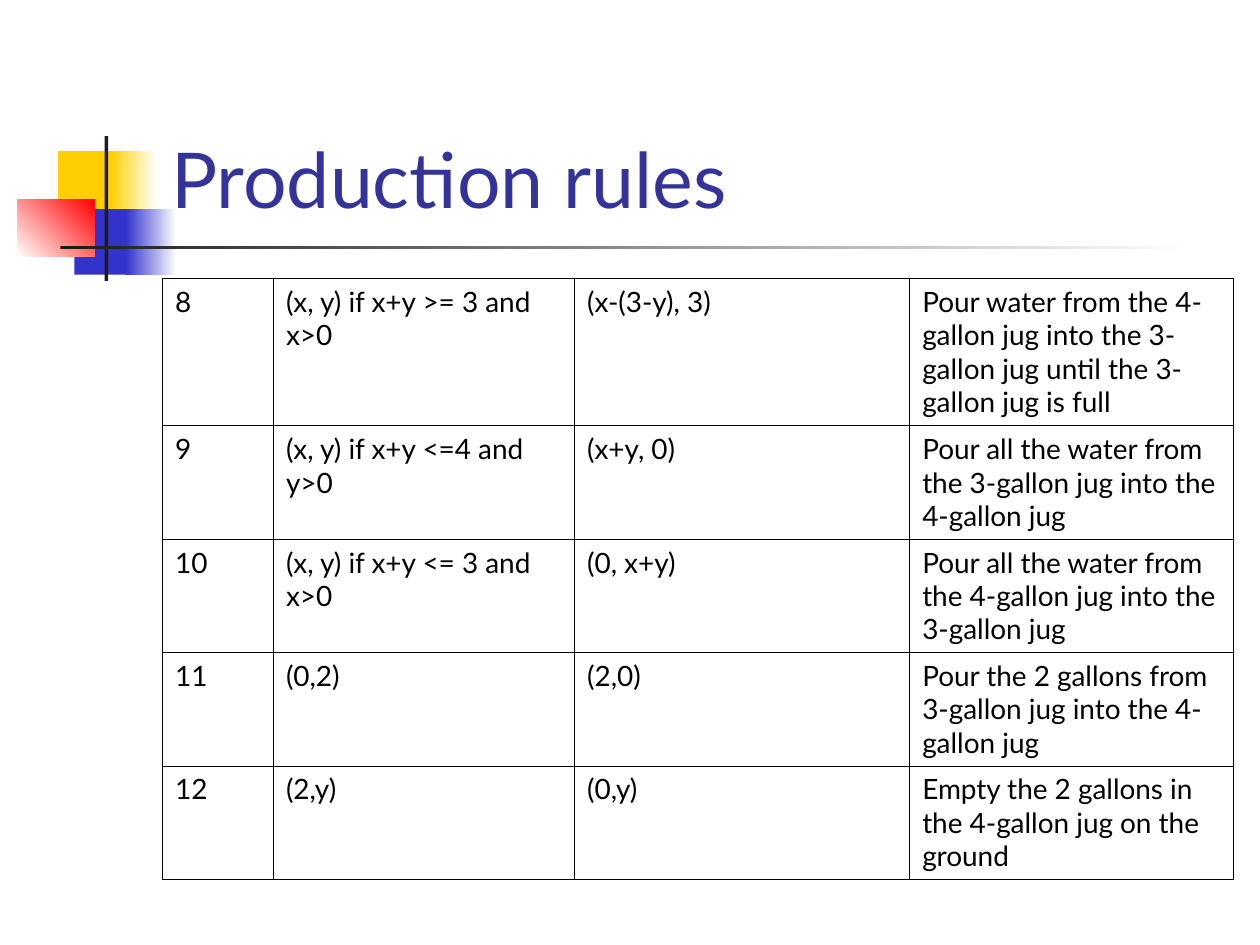
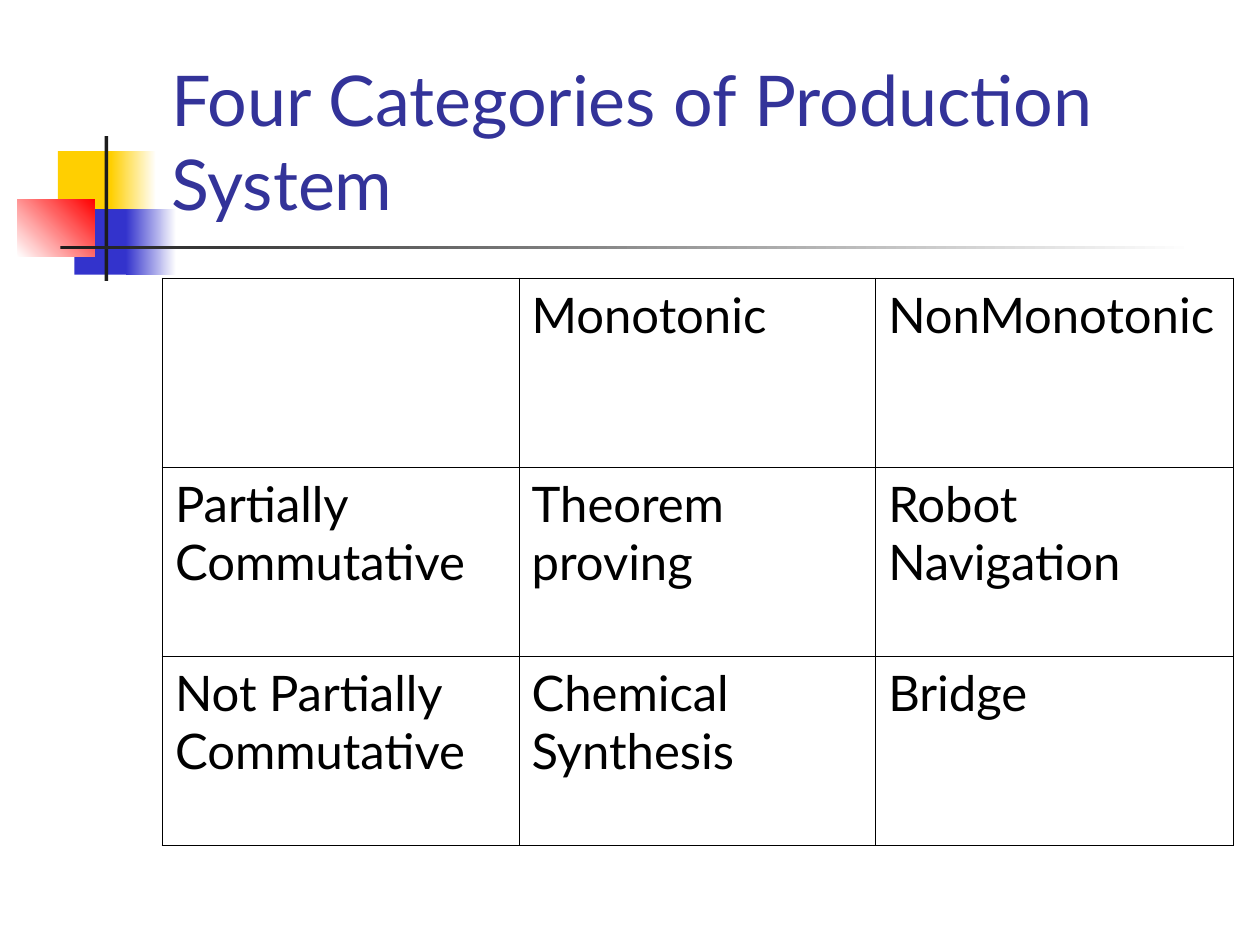
from lxml import etree
from pptx import Presentation
from pptx import util as u
from pptx.dml import color
from pptx.enum import shapes, text
from pptx.oxml import ns

PX = 9144
FONT = "Lato"
WHITE, BLACK, DARK = "FFFFFF", "000000", "1C1C1C"
YELLOW, BLUE, RED, TITLE = "FFCF01", "3333CC", "FF0000", "333399"
THIN, THICK = 0.45, 1.08


def px(n):
    return u.Emu(n * PX)


def rgb(value):
    return color.RGBColor.from_string(value)


def write(tf, content, size=16, ink=BLACK, anchor=text.MSO_ANCHOR.TOP):
    tf.word_wrap = True
    tf.vertical_anchor = anchor
    p = tf.paragraphs[0]
    p.alignment = text.PP_ALIGN.LEFT
    p.space_before = u.Pt(0)
    r = p.add_run()
    r.text = content
    r.font.name = FONT
    r.font.size = u.Pt(size)
    r.font.color.rgb = rgb(ink)


def set_borders(cell, widths):
    tc_pr = cell._tc.get_or_add_tcPr()
    for i, (side, width) in enumerate(zip("LRTB", widths)):
        ln = etree.Element(ns.qn("a:ln" + side), w=str(u.Pt(width)))
        fill = etree.SubElement(ln, ns.qn("a:solidFill"))
        etree.SubElement(fill, ns.qn("a:srgbClr"), val=BLACK)
        tc_pr.insert(i, ln)


class Deck:
    def __init__(self):
        self.prs = Presentation()
        self.prs.slide_width, self.prs.slide_height = px(1000), px(750)
        self.layout = self.prs.slide_layouts[5]
        self.s = None

    def slide(self, title, size):
        first = self.s is None
        self.s = self.prs.slides.add_slide(self.layout)
        if first:
            self.band()
        self.title(title, size)

    def title(self, content, size):
        sp = self.s.shapes.title
        sp.left, sp.top, sp.width, sp.height = map(px, (126, 23, 852, 160))
        sp.text_frame.auto_size = text.MSO_AUTO_SIZE.NONE
        write(sp.text_frame, content, size, TITLE, text.MSO_ANCHOR.BOTTOM)

    def rect(self, box, start, end=None, angle=0):
        sp = self.s.shapes.add_shape(shapes.MSO_SHAPE.RECTANGLE, *map(px, box))
        sp.shadow.inherit = False
        sp.line.fill.background()
        if end is None:
            sp.fill.solid()
            sp.fill.fore_color.rgb = rgb(start)
        else:
            sp.fill.gradient()
            sp.fill.gradient_angle = angle
            for stop, value in zip(sp.fill.gradient_stops, (start, end)):
                stop.color.rgb = rgb(value)
        return sp

    def band(self):
        parts = [
            self.rect((46, 120, 48, 52), YELLOW),
            self.rect((88, 120, 36, 52), YELLOW, WHITE),
            self.rect((59, 166, 46, 52), BLUE),
            self.rect((100, 166, 40, 52), BLUE, WHITE),
            self.rect((14, 158, 61, 46), WHITE, RED, 45),
            self.rect((83, 108, 3, 115), DARK),
            self.rect((48, 195, 900, 3), DARK, WHITE),
        ]
        tree = self.layout.element.cSld.spTree
        for i, sp in enumerate(parts):
            sp.element.nvSpPr.cNvPr.set("id", str(100 + i))
            tree.insert(2 + i, sp.element)

    def table(self, rows, widths, heights, size, top=THICK):
        frame = self.s.shapes.add_table(
            len(rows), len(widths), px(129), px(221), px(sum(widths)), px(sum(heights)))
        table = frame.table
        table.first_row = table.horz_banding = False
        for col, width in zip(table.columns, widths):
            col.width = px(width)
        for row, height in zip(table.rows, heights):
            row.height = px(height)
        last_row, last_col = len(rows) - 1, len(widths) - 1
        for i, row in enumerate(rows):
            for j, content in enumerate(row):
                cell = table.cell(i, j)
                cell.fill.background()
                set_borders(cell, (
                    THICK if j == 0 else THIN,
                    THICK if j == last_col else THIN,
                    top if i == 0 else THIN,
                    THICK if i == last_row else THIN))
                if content:
                    write(cell.text_frame, content, size)


def main():
    deck = Deck()
    deck.slide("Production rules", 44)
    deck.table([
        ("8", "(x, y) if x+y >= 3 and x>0", "(x-(3-y), 3)",
         "Pour water from the 4-gallon jug into the 3-gallon jug until the 3-gallon jug is full"),
        ("9", "(x, y) if x+y <=4 and y>0", "(x+y, 0)",
         "Pour all the water from the 3-gallon jug into the 4-gallon jug"),
        ("10", "(x, y) if x+y <= 3 and x>0", "(0, x+y)",
         "Pour all the water from the 4-gallon jug into the 3-gallon jug"),
        ("11", "(0,2)", "(2,0)",
         "Pour the 2 gallons from 3-gallon jug into the 4-gallon jug"),
        ("12", "(2,y)", "(0,y)",
         "Empty the 2 gallons in the 4-gallon jug on the ground"),
    ], [88, 239, 266, 257], [117] + [90] * 4, 16, top=THIN)

    deck.slide("Four Categories of Production System", 40)
    deck.table([
        ("", "Monotonic", "NonMonotonic"),
        ("Partially Commutative", "Theorem proving", "Robot Navigation"),
        ("Not Partially Commutative", "Chemical Synthesis", "Bridge"),
    ], [283, 283, 284], [150] * 3, 28)
    deck.prs.save("out.pptx")


if __name__ == "__main__":
    main()
